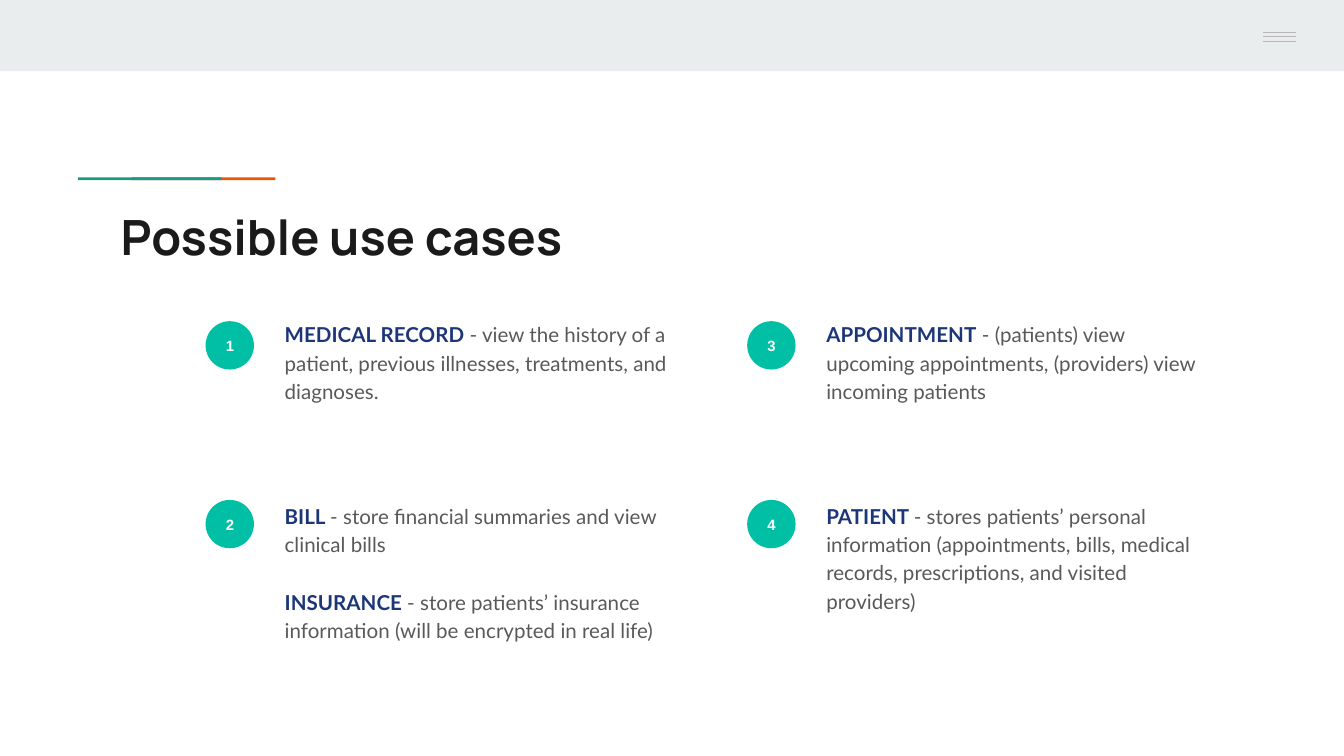
import pptx
import pptx.util
import pptx.dml.color
import pptx.enum.shapes
import pptx.enum.text
import pptx.oxml.ns
from lxml import etree

Inches = pptx.util.Inches
Pt = pptx.util.Pt
RGBColor = pptx.dml.color.RGBColor
MSO_SHAPE = pptx.enum.shapes.MSO_SHAPE
MSO_CONNECTOR = pptx.enum.shapes.MSO_CONNECTOR
PP_ALIGN = pptx.enum.text.PP_ALIGN
MSO_ANCHOR = pptx.enum.text.MSO_ANCHOR

BAND = RGBColor(0xE9, 0xED, 0xEE)
ORANGE = RGBColor(0xEB, 0x56, 0x00)
TEAL = RGBColor(0x1A, 0x99, 0x88)
GREY = RGBColor(0xB7, 0xB7, 0xB7)
INK = RGBColor(0x1A, 0x1A, 0x1A)
MINT = RGBColor(0x00, 0xBF, 0xA5)
WHITE = RGBColor(0xFF, 0xFF, 0xFF)
NAVY = RGBColor(0x1C, 0x36, 0x78)
BODY = RGBColor(0x59, 0x59, 0x59)

USE_CASES = [
    [("MEDICAL RECORD", " - view the history of a patient, previous illnesses, treatments, and diagnoses.")],
    [("BILL ", "- store financial summaries and view clinical bills"),
     ("INSURANCE ", "- store patients’ insurance information (will be encrypted in real life)")],
    [("APPOINTMENT", " - (patients) view upcoming appointments, (providers) view incoming patients")],
    [("PATIENT ", "- stores patients’ personal information (appointments, bills, medical records, "
                  "prescriptions, and visited providers)")],
]


def add_filled(s, kind, x, y, w, h, color):
    sp = s.shapes.add_shape(kind, Inches(x), Inches(y), Inches(w), Inches(h))
    sp.shadow.inherit = False
    sp.fill.solid()
    sp.fill.fore_color.rgb = color
    sp.line.fill.background()
    return sp


def set_frame(sp):
    tf = sp.text_frame
    tf.word_wrap = True
    tf.margin_left = tf.margin_right = tf.margin_top = tf.margin_bottom = Inches(0.1)
    return tf


def add_run(p, text, font, size, color, bold):
    r = p.add_run()
    r.text = text
    r.font.name = font
    r.font.size = Pt(size)
    r.font.color.rgb = color
    r.font.bold = bold


def add_header(s, x, y, w, h):
    add_filled(s, MSO_SHAPE.RECTANGLE, x, y, w, h, BAND)
    add_filled(s, MSO_SHAPE.RECTANGLE, x + w - 0.94, y, 0.94, 0.5, BAND)
    right = x + w - 0.36
    for dy in (0.24, 0.27, 0.31):
        line = s.shapes.add_connector(
            MSO_CONNECTOR.STRAIGHT, Inches(right - 0.24), Inches(y + dy), Inches(right), Inches(y + dy))
        line.line.color.rgb = GREY
        line.line.width = Pt(0.75)
        etree.SubElement(line.element.spPr, pptx.oxml.ns.qn("a:effectLst"))


def add_title(s, x, y, w, h):
    for dx, color in ((0.4, ORANGE), (0, TEAL)):
        add_filled(s, MSO_SHAPE.RECTANGLE, x - 0.22 + dx, y - 0.12, 1.07, 0.02, color)
    sp = s.shapes.add_textbox(Inches(x), Inches(y), Inches(w), Inches(h))
    add_run(set_frame(sp).paragraphs[0], "Possible use cases", "Manrope", 26, INK, True)


def add_use_case(s, x, y, w, h, number, items, badge_dy):
    badge = add_filled(s, MSO_SHAPE.OVAL, x, y + badge_dy, 0.36, 0.36, MINT)
    tf = set_frame(badge)
    tf.vertical_anchor = MSO_ANCHOR.MIDDLE
    p = tf.paragraphs[0]
    p.alignment = PP_ALIGN.CENTER
    add_run(p, str(number), "Arial", 8, WHITE, True)

    sp = s.shapes.add_textbox(Inches(x + 0.49), Inches(y), Inches(w - 0.49), Inches(h))
    tf = set_frame(sp)
    for i, (name, detail) in enumerate(items):
        p = tf.add_paragraph() if i else tf.paragraphs[0]
        p.line_spacing = 1.15
        if i:
            p.space_before = Pt(16)
        add_run(p, name, "Lato", 11, NAVY, True)
        add_run(p, detail, "Lato", 11, BODY, False)


def add_use_cases(s, x, y, w, h):
    col_step, row_step = 4.03, 1.35
    for i, items in enumerate(USE_CASES):
        col, row = divmod(i, 2)
        box_h = h - row_step if i == len(USE_CASES) - 1 else 1.15
        add_use_case(s, x + col * col_step, y + row * row_step, w - col_step,
                     box_h, i + 1, items, 0.1 if row else 0.12)


def main():
    prs = pptx.Presentation()
    prs.slide_width = Inches(10)
    prs.slide_height = Inches(10 * 9 / 16)
    s = prs.slides.add_slide(prs.slide_layouts[6])
    add_header(s, 0, 0, 10, 0.53)
    add_title(s, 0.8, 1.44, 8.41, 0.59)
    add_use_cases(s, 1.53, 2.27, 7.62, 2.74)
    prs.save("out.pptx")


if __name__ == "__main__":
    main()
